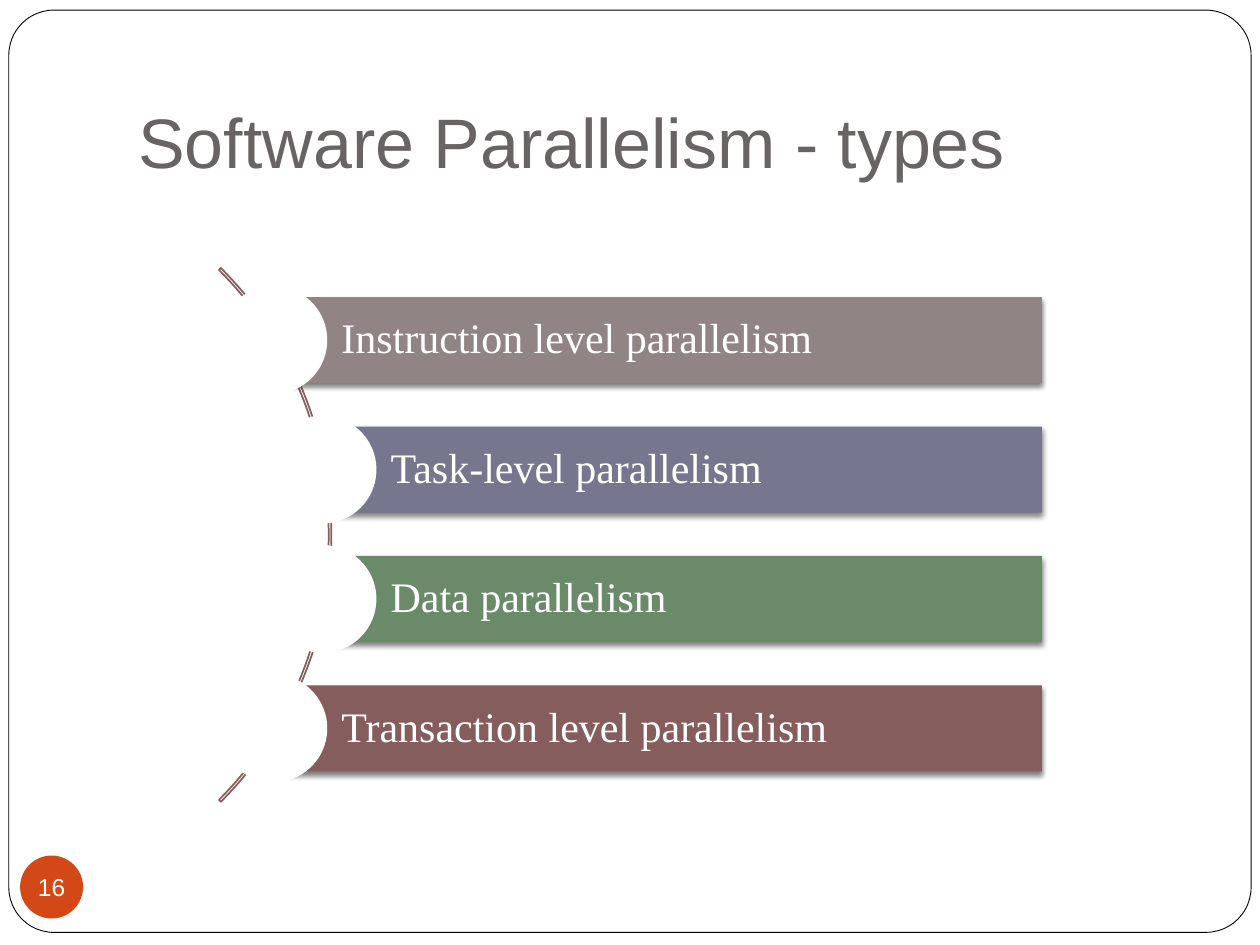
from pptx import Presentation, util as u
from pptx.dml.color import RGBColor
from pptx.enum import shapes, text
from pptx.oxml import parse_xml
from pptx.oxml.ns import nsdecls

THEME = {
    "paper": "FFFFFF", "ink": "000000", "title": "696464",
    "badge": "D34817", "arc": "855D5D",
    "title_font": "Arial", "body_font": "Times New Roman",
    "title_size": 40, "body_size": 24, "badge_size": 14,
}
TYPES = [  # label, bar colour, left edge in columns
    ("Instruction level parallelism", "918485", 21.7),
    ("Task-level parallelism", "76778E", 25.6),
    ("Data parallelism", "6A8A69", 25.6),
    ("Transaction level parallelism", "855D5D", 21.7),
]

presentation = Presentation()
presentation.slide_width, presentation.slide_height = u.Inches(10), u.Inches(7.5)
slide = presentation.slides.add_slide(presentation.slide_layouts[6])

# Square grid: 100 columns by 75 rows
CELL = presentation.slide_width / 100


def add_block(preset, *box, fill=None, line=None, weight=1):
    """Place a preset shape by left, top, width and height in grid cells."""
    shape = slide.shapes.add_shape(preset, *(round(n * CELL) for n in box))
    shape.shadow.inherit = False
    if fill:
        shape.fill.solid()
        shape.fill.fore_color.rgb = RGBColor.from_string(fill)
    else:
        shape.fill.background()
    if line:
        shape.line.color.rgb = RGBColor.from_string(line)
        shape.line.width = u.Pt(weight)
    else:
        shape.line.fill.background()
    return shape


def write(shape, words, *, font, size, color, align=text.PP_ALIGN.LEFT,
          anchor=text.MSO_ANCHOR.MIDDLE, insets=(0, 0, 0, 0), wrap=True, spacing=1.0):
    """Set a shape's text; insets are left, top, right, bottom in grid cells."""
    frame = shape.text_frame
    frame.word_wrap, frame.vertical_anchor = wrap, anchor
    (frame.margin_left, frame.margin_top,
     frame.margin_right, frame.margin_bottom) = (round(n * CELL) for n in insets)
    paragraph = frame.paragraphs[0]
    paragraph.alignment, paragraph.line_spacing = align, spacing
    run = paragraph.add_run()
    run.text = words
    run.font.name, run.font.size = font, u.Pt(size)
    run.font.color.rgb = RGBColor.from_string(color)


# Rounded page frame
page = add_block(shapes.MSO_SHAPE.ROUNDED_RECTANGLE, 0.7, 0.8, 98.6, 73.2,
                 fill=THEME["paper"], line=THEME["ink"], weight=0.5)
page.adjustments[0] = 0.049

# Title
title = slide.shapes.add_textbox(*(round(n * CELL) for n in (10, 3, 85, 12.5)))
write(title, "Software Parallelism - types", font=THEME["title_font"],
      size=THEME["title_size"], color=THEME["title"],
      anchor=text.MSO_ANCHOR.BOTTOM, insets=(1, 0.5, 1, 1))

# Slide number badge
badge = add_block(shapes.MSO_SHAPE.OVAL, 1.6, 67.9, 5, 5, fill=THEME["badge"])
write(badge, "16", font=THEME["title_font"], size=THEME["badge_size"],
      color=THEME["paper"], align=text.PP_ALIGN.CENTER, wrap=False)

# Arc behind the list, from 315 to 45 degrees
arc = add_block(shapes.MSO_SHAPE.BLOCK_ARC, -33.6, 12.5, 59.9, 59.9, line=THEME["arc"])
for index, value in enumerate((189, 27, 0.0036)):
    arc.adjustments[index] = value

# Bars share a right edge and a pitch; each has a disc centred on its left edge
BAR_RIGHT, BAR_TOP, BAR_HEIGHT, PITCH, DISC = 82.7, 23.58, 6.84, 10.27, 8.55
for row, (label, color, left) in enumerate(TYPES):
    top = BAR_TOP + row * PITCH
    bar = add_block(shapes.MSO_SHAPE.RECTANGLE, left, top, BAR_RIGHT - left, BAR_HEIGHT,
                    fill=color)
    effects = bar._element.spPr.find("{*}effectLst")
    effects.append(parse_xml(
        f'<a:outerShdw {nsdecls("a")} blurRad="{u.Pt(3)}" dist="{u.Pt(2)}" dir="5400000" '
        f'rotWithShape="0"><a:srgbClr val="{THEME["ink"]}"><a:alpha val="50000"/>'
        '</a:srgbClr></a:outerShdw>'))
    write(bar, label, font=THEME["body_font"], size=THEME["body_size"],
          color=THEME["paper"], insets=(5.4, 0.7, 0.7, 0.7), spacing=0.9)
    add_block(shapes.MSO_SHAPE.OVAL, left - DISC / 2, top + (BAR_HEIGHT - DISC) / 2,
              DISC, DISC, fill=THEME["paper"])

presentation.save("out.pptx")
